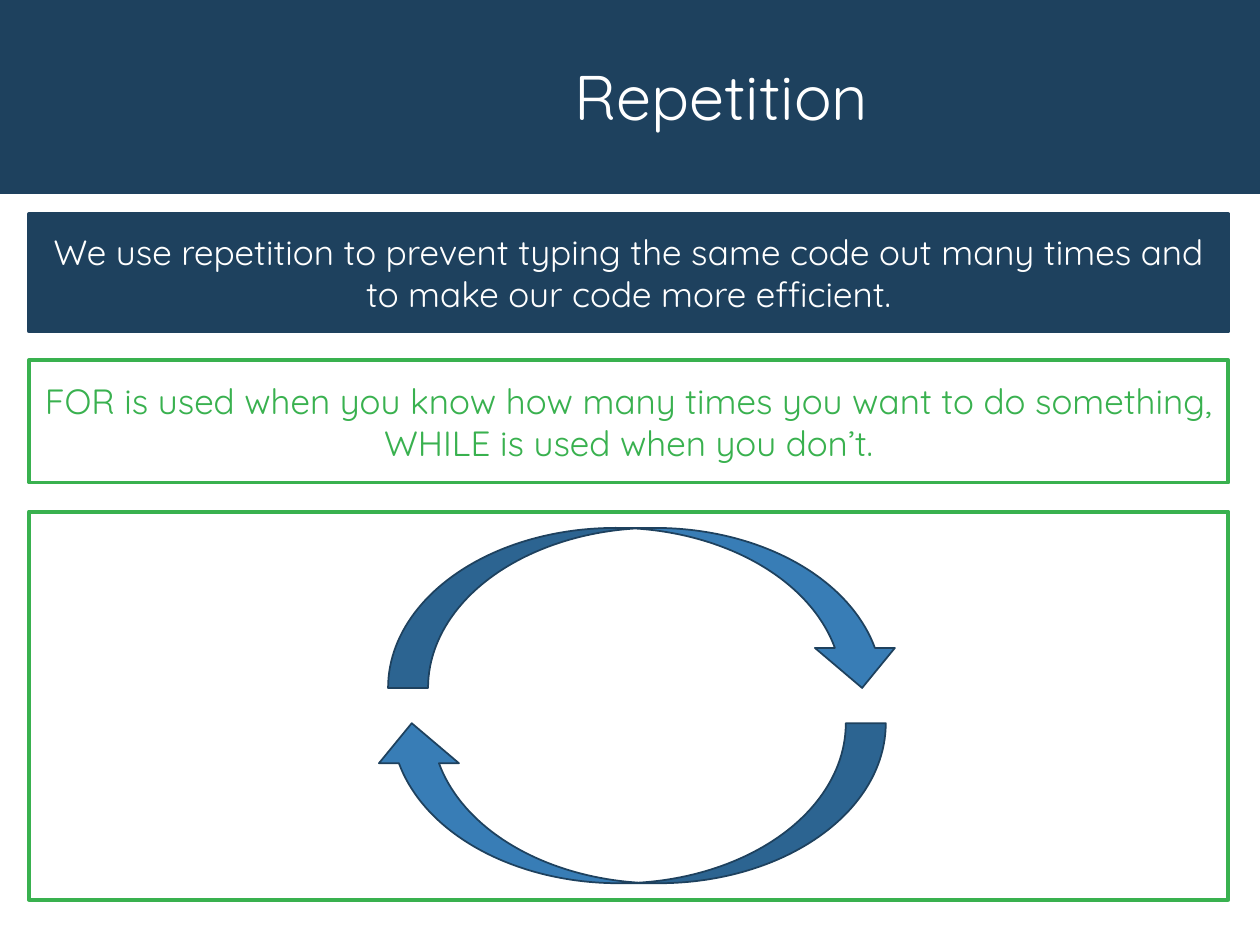
from dataclasses import dataclass

from pptx import Presentation
from pptx.dml.color import RGBColor
from pptx.enum.shapes import MSO_SHAPE
from pptx.enum.text import MSO_ANCHOR, PP_ALIGN
from pptx.util import Inches, Pt


@dataclass(frozen=True)
class Theme:
    navy: str = "1E415E"
    green: str = "39B14F"
    blue: str = "387DB6"
    white: str = "FFFFFF"
    font: str = "Quicksand"
    title_size: int = 36
    body_size: int = 20
    panel_line: float = 2.25
    arrow_line: float = 1


THEME = Theme()
PANEL_LEFT, PANEL_WIDTH = 0.23, 9.52
ARROW_WIDTH, ARROW_HEIGHT = 4.08, 1.27


def set_attributes(target, values):
    for name, value in values.items():
        setattr(target, name, value)


def write_text(shape, text, size, color, line_spacing=1.0):
    """Fill a shape with one centred paragraph."""
    frame = shape.text_frame
    set_attributes(frame, {"word_wrap": True, "vertical_anchor": MSO_ANCHOR.MIDDLE})
    paragraph = frame.paragraphs[0]
    set_attributes(paragraph, {"alignment": PP_ALIGN.CENTER, "line_spacing": line_spacing})
    run = paragraph.add_run()
    run.text = text
    set_attributes(run.font, {"name": THEME.font, "size": Pt(size)})
    run.font.color.rgb = RGBColor.from_string(color)


def add_block(slide, kind, box, fill=None, line=None, line_width=0):
    """Add a preset shape with an optional fill and outline."""
    shape = slide.shapes.add_shape(kind, *map(Inches, box))
    shape.shadow.inherit = False
    if fill:
        shape.fill.solid()
        shape.fill.fore_color.rgb = RGBColor.from_string(fill)
    else:
        shape.fill.background()
    if line:
        shape.line.color.rgb = RGBColor.from_string(line)
        shape.line.width = Pt(line_width)
    else:
        shape.line.fill.background()
    return shape


def add_title(slide, text):
    add_block(slide, MSO_SHAPE.RECTANGLE, (0, 0, 10, 1.54), fill=THEME.navy)
    title = slide.shapes.add_textbox(*map(Inches, (1.45, 0.24, 8.55, 1.11)))
    write_text(title, text, THEME.title_size, THEME.white, line_spacing=0.9)


def add_panel(slide, top, height, line, fill=None, text=None):
    """Add a full-width panel, with text in white if it is filled."""
    box = (PANEL_LEFT, top, PANEL_WIDTH, height)
    panel = add_block(slide, MSO_SHAPE.RECTANGLE, box, fill, line, THEME.panel_line)
    if text:
        write_text(panel, text, THEME.body_size, THEME.white if fill else line)


def add_loop_arrow(slide, left, top, rotation):
    box = (left, top, ARROW_WIDTH, ARROW_HEIGHT)
    arrow = add_block(slide, MSO_SHAPE.CURVED_DOWN_ARROW, box,
                      THEME.blue, THEME.navy, THEME.arrow_line)
    arrow.rotation = rotation


def main():
    presentation = Presentation()
    set_attributes(presentation, {"slide_width": Inches(10), "slide_height": Inches(7.5)})
    slide = presentation.slides.add_slide(presentation.slide_layouts[6])

    # Header band
    add_title(slide, "Repetition")

    # Explanations and the frame for the loop
    add_panel(slide, 1.7, 0.93, THEME.navy, fill=THEME.navy,
              text="We use repetition to prevent typing the same code out many times "
                   "and to make our code more efficient.")
    add_panel(slide, 2.86, 0.97, THEME.green,
              text="FOR is used when you know how many times you want to do something, "
                   "WHILE is used when you don’t.")
    add_panel(slide, 4.06, 3.08, THEME.green)

    # Loop of two arrows
    for left, top, rotation in ((3.08, 4.19, 0), (2.95, 5.74, 180)):
        add_loop_arrow(slide, left, top, rotation)

    presentation.save("out.pptx")


main()
